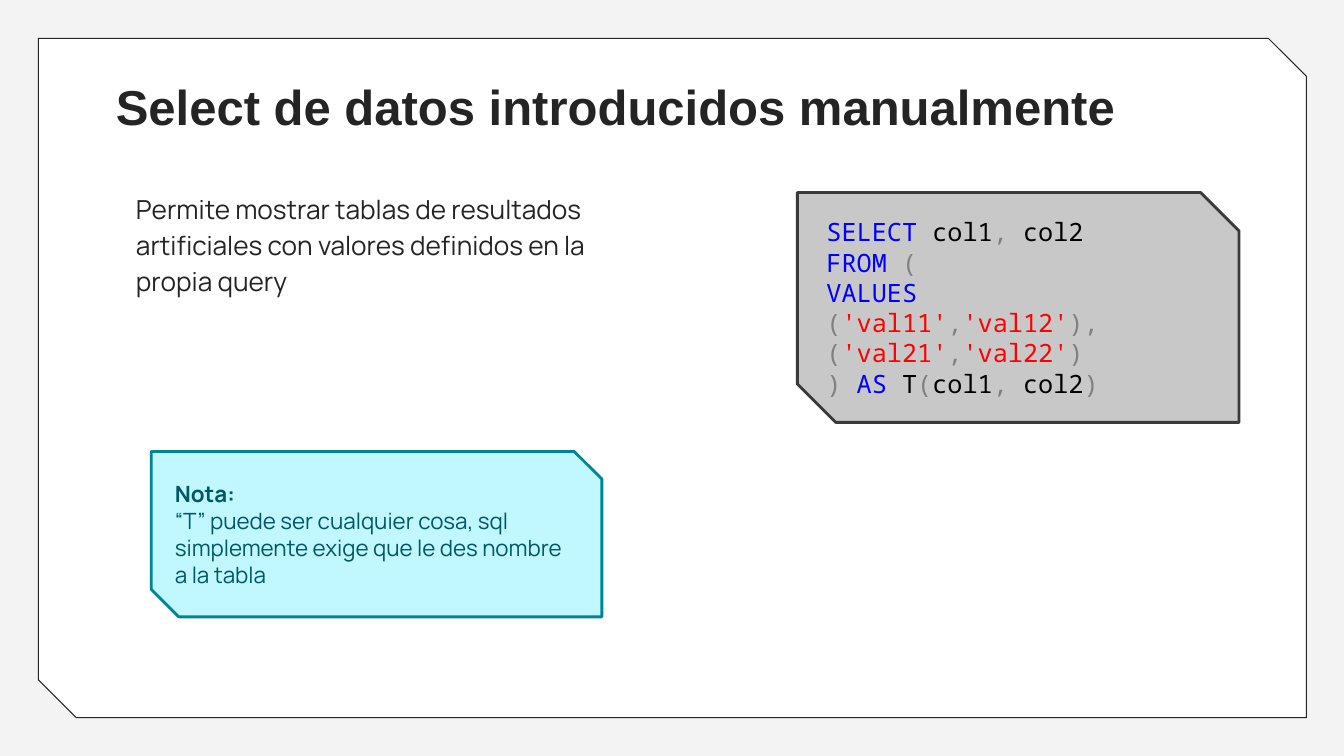
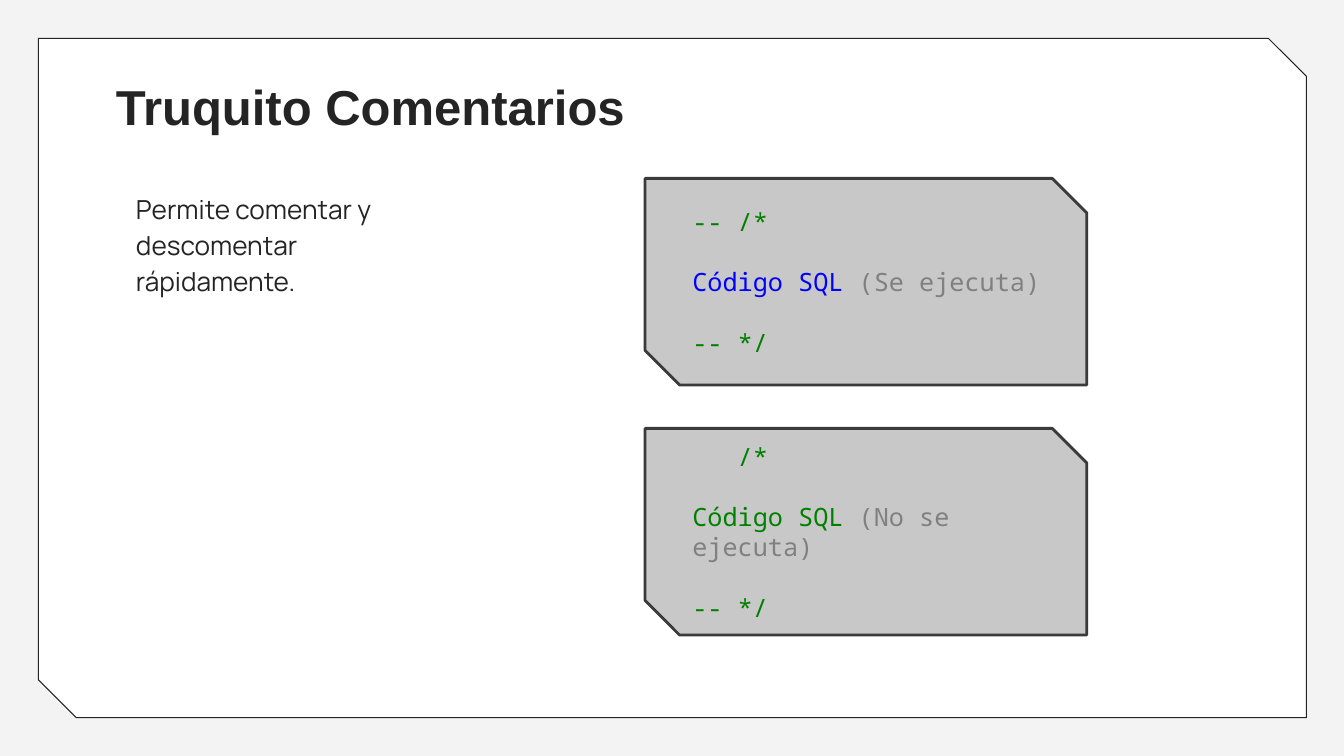
from dataclasses import dataclass

from lxml.etree import SubElement
from pptx import Presentation
from pptx.dml.color import RGBColor
from pptx.enum.shapes import MSO_SHAPE
from pptx.enum.text import MSO_ANCHOR, PP_ALIGN
from pptx.util import Inches, Pt


@dataclass(frozen=True)
class Theme:
    # Colours
    backdrop: str = "F3F3F3"
    paper: str = "FFFFFF"
    ink: str = "242424"
    code_fill: str = "C8C8C8"
    code_line: str = "3A3A3A"
    note_fill: str = "C1F8FF"
    note_line: str = "008496"
    note_ink: str = "005864"
    # Fonts and sizes in points
    title_font: str = "Arial"
    body_font: str = "Manrope"
    code_font: str = "Noto Sans Mono"
    title_size: float = 35
    body_size: float = 18.7
    code_size: float = 18
    note_size: float = 16
    code_gap: float = 21.6


THEME = Theme()
SYNTAX = {"key": "0000FF", "name": "000000", "mark": "808080",
          "string": "FF0000", "comment": "008000"}

# Content: a code line is a list of (text, syntax role);
# places are left, top, width, height in percent of the slide
SLIDES = [
    {
        "title": "Select de datos introducidos manualmente",
        "body": "Permite mostrar tablas de resultados artificiales "
                "con valores definidos en la propia query",
        "body_size": (39.91, 18.4),
        "code_place": (59.33, 25.47, 32.86, 30.4),
        "code": [[
            [("SELECT", "key"), (" col1", "name"), (",", "mark"), (" col2", "name")],
            [("FROM ", "key"), ("(", "mark")],
            [("VALUES", "key")],
            [("(", "mark"), ("'val11'", "string"), (",", "mark"),
             ("'val12'", "string"), ("),", "mark")],
            [("(", "mark"), ("'val21'", "string"), (",", "mark"),
             ("'val22'", "string"), (")", "mark")],
            [(") ", "mark"), ("AS", "key"), (" T", "name"), ("(", "mark"),
             ("col1", "name"), (",", "mark"), (" col2", "name"), (")", "mark")],
        ]],
        "note_place": (11.25, 59.73, 33.53, 21.87),
        "note": ("Nota:", "“T” puede ser cualquier cosa, sql simplemente "
                          "exige que le des nombre a la tabla"),
    },
    {
        "title": "Truquito Comentarios",
        "body": "Permite comentar y descomentar rápidamente.",
        "body_size": (26.33, 66.4),
        "code_place": (48, 23.6, 32.86, 27.33),
        "code_spaced": True,
        "code_indents": [(0.2, 0.2, 0.2), (0.65, 0.2, 0.2)],
        "code": [
            [[("-- /*", "comment")],
             [("Código SQL ", "key"), ("(Se ejecuta)", "mark")],
             [("-- */", "comment")]],
            [[("/*", "comment")],
             [("Código SQL ", "comment"), ("(No se ejecuta)", "mark")],
             [("-- */", "comment")]],
        ],
    },
]

# Grid
WIDTH, HEIGHT = Inches(13.33), Inches(7.5)
FRAME = (2.85, 5.07, 94.35, 89.87)
FRAME_SNIP = 0.056
TITLE = (7.88, 8.4, 84.25, 11.2)
BODY_CORNER = (7.88, 23.6)
CODE_STEP = 33.07


def place(left, top, width, height):
    """Turn percentages of the slide into lengths."""
    return [round(share * side / 100) for share, side in
            zip((left, top, width, height), (WIDTH, HEIGHT, WIDTH, HEIGHT))]


def write(frame, lines, *, font, size, anchor=MSO_ANCHOR.TOP, indents=None,
          gap=0, spacing=None):
    """Fill a text frame; each line is a list of (text, colour, bold)."""
    frame.word_wrap = True
    frame.vertical_anchor = anchor
    for number, line in enumerate(lines):
        paragraph = frame.add_paragraph() if number else frame.paragraphs[0]
        paragraph.alignment = PP_ALIGN.LEFT
        if gap and number:
            paragraph.space_before = Pt(gap)
        if spacing:
            paragraph.line_spacing = spacing
        if indents:
            properties = paragraph._p.get_or_add_pPr()
            properties.set("marL", str(Inches(indents[number])))
            properties.set("indent", "0")
        for words, colour, bold in line:
            run = paragraph.add_run()
            run.text = words
            run.font.name, run.font.size, run.font.bold = font, Pt(size), bold
            run.font.color.rgb = RGBColor.from_string(colour)


def add_text(slide, where, lines, **style):
    frame = slide.shapes.add_textbox(*place(*where)).text_frame
    frame.margin_left = frame.margin_right = Inches(0.1)
    frame.margin_top = frame.margin_bottom = Inches(0.1)
    write(frame, lines, **style)


def add_card(slide, where, fill, line, weight=2, snip=None):
    """Add a card with two opposite corners cut off."""
    card = slide.shapes.add_shape(MSO_SHAPE.SNIP_2_DIAG_RECTANGLE, *place(*where))
    card.shadow.inherit = False
    card.fill.solid()
    card.fill.fore_color.rgb = RGBColor.from_string(fill)
    card.line.color.rgb = RGBColor.from_string(line)
    card.line.width = Pt(weight)
    if snip is not None:
        card.adjustments[0], card.adjustments[1] = 0, snip
    return card


def add_base(slide, title):
    """Add the frame and the title that every slide shares."""
    add_card(slide, FRAME, THEME.paper, THEME.ink, 0.75, FRAME_SNIP)
    add_text(slide, TITLE, [[(title, THEME.ink, True)]], font=THEME.title_font,
             size=THEME.title_size, anchor=MSO_ANCHOR.MIDDLE)


def add_code(slide, content):
    """Stack the code cards downwards."""
    left, top, width, height = content["code_place"]
    gap = THEME.code_gap if content.get("code_spaced") else 0
    indents = content.get("code_indents", [None] * len(content["code"]))
    for row, (code, indent) in enumerate(zip(content["code"], indents)):
        card = add_card(slide, (left, top + row * CODE_STEP, width, height),
                        THEME.code_fill, THEME.code_line)
        lines = [[(words, SYNTAX[role], False) for words, role in line] for line in code]
        write(card.text_frame, lines, font=THEME.code_font, size=THEME.code_size,
              anchor=MSO_ANCHOR.MIDDLE, indents=indent, gap=gap)


def add_note(slide, content):
    heading, remark = content["note"]
    card = add_card(slide, content["note_place"], THEME.note_fill, THEME.note_line)
    write(card.text_frame,
          [[(heading, THEME.note_ink, True)], [(remark, THEME.note_ink, False)]],
          font=THEME.body_font, size=THEME.note_size, anchor=MSO_ANCHOR.MIDDLE)


def main():
    deck = Presentation()
    deck.slide_width, deck.slide_height = WIDTH, HEIGHT
    backdrop = deck.slide_master.background.fill
    backdrop.solid()
    backdrop.fore_color.rgb = RGBColor.from_string(THEME.backdrop)
    for content in SLIDES:
        slide = deck.slides.add_slide(deck.slide_layouts[6])
        add_base(slide, content["title"])
        add_text(slide, BODY_CORNER + content["body_size"],
                 [[(content["body"], THEME.ink, False)]], font=THEME.body_font,
                 size=THEME.body_size, indents=[0.2], spacing=1.15)
        add_code(slide, content)
        if "note" in content:
            add_note(slide, content)
    deck.save("out.pptx")


if __name__ == "__main__":
    main()
